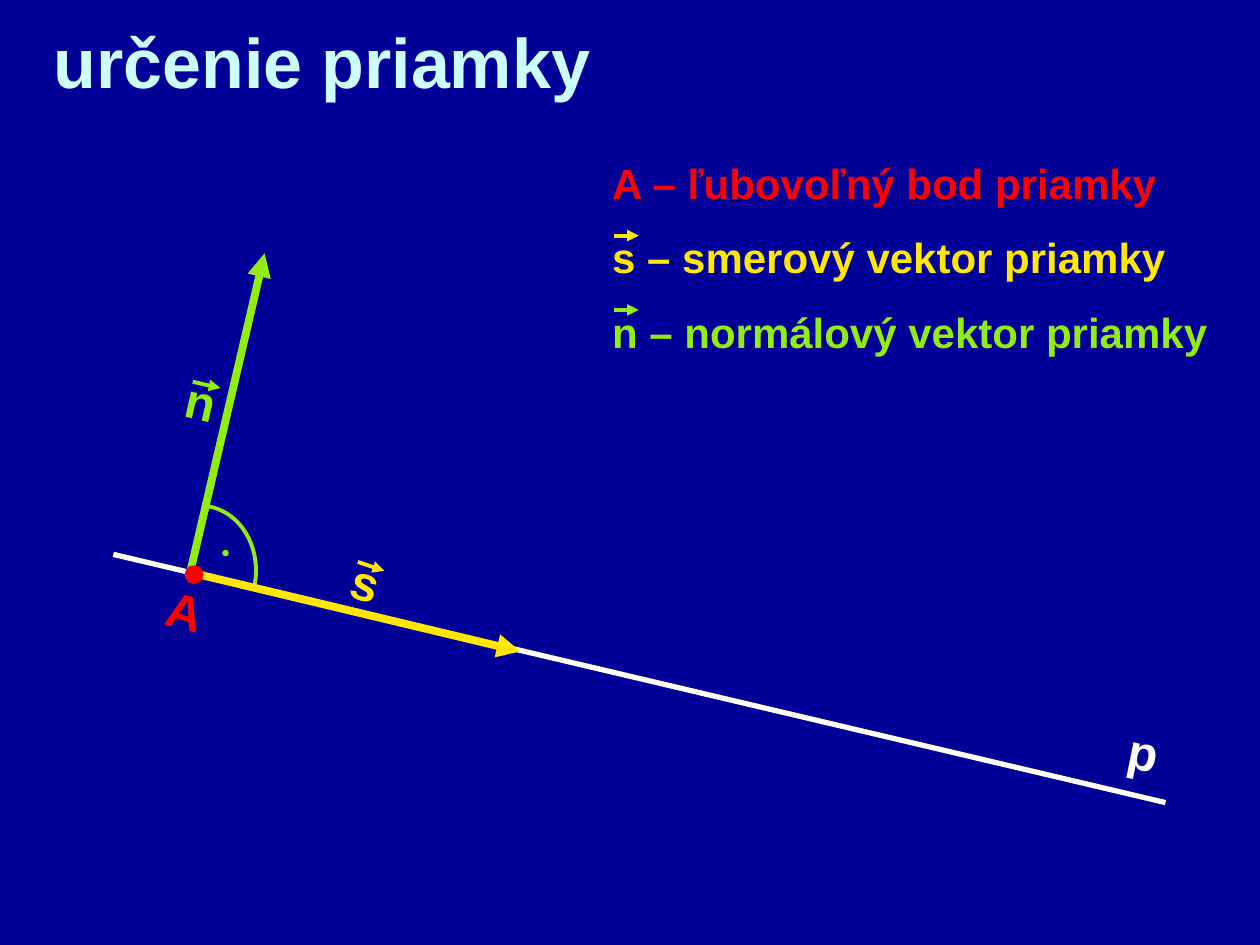
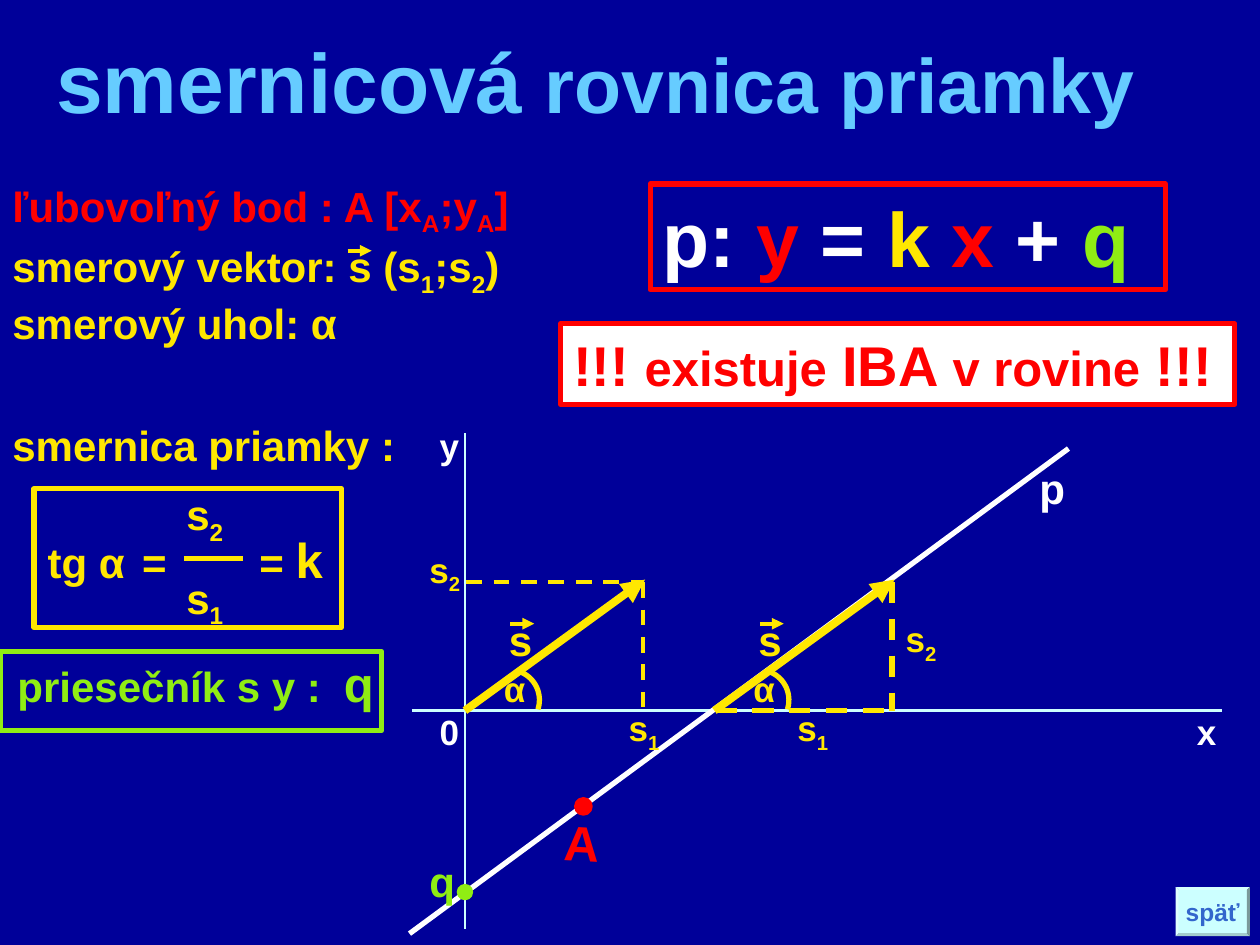
from collections import namedtuple

from lxml import etree
from pptx import Presentation
from pptx.dml.color import RGBColor
from pptx.enum import dml, shapes, text
from pptx.oxml import ns
from pptx.util import Inches, Pt

NAVY = RGBColor(0x00, 0x00, 0x99)
WHITE = RGBColor(0xFF, 0xFF, 0xFF)
ICE = RGBColor(0xCC, 0xFF, 0xFF)
SKY = RGBColor(0x66, 0xCC, 0xFF)
BLUE = RGBColor(0x33, 0x66, 0xCC)
RED = RGBColor(0xFF, 0x00, 0x00)
YELLOW = RGBColor(0xFF, 0xE7, 0x01)
GREEN = RGBColor(0x90, 0xED, 0x13)
FONT = "Arial"

Run = namedtuple("Run", "text size color sub", defaults=(None, None, False))
S1 = [Run("s"), Run("1", sub=True)]
S2 = [Run("s"), Run("2", sub=True)]


def new_slide(prs):
    """Add a blank slide with the navy background."""
    slide = prs.slides.add_slide(prs.slide_layouts[6])
    slide.background.fill.solid()
    slide.background.fill.fore_color.rgb = NAVY
    return slide


def write_runs(paragraph, runs, size, color):
    """Write bold runs, each falling back to the given size and colour."""
    for part in runs:
        run = paragraph.add_run()
        run.text = part.text
        run.font.name = FONT
        run.font.bold = True
        run.font.size = Pt(part.size or size)
        run.font.color.rgb = part.color or color
        if part.sub:
            run._r.get_or_add_rPr().set("baseline", "-25000")


def add_tabs(paragraph, stops):
    """Set left tab stops, in inches from the start of the text."""
    tab_list = etree.SubElement(paragraph._p.get_or_add_pPr(), ns.qn("a:tabLst"))
    for stop in stops:
        etree.SubElement(tab_list, ns.qn("a:tab"), pos=str(Inches(stop)), algn="l")


def add_label(slide, box, content, size, color, rotation=0, tabs=()):
    """Add a text box holding a string or a list of runs."""
    label = slide.shapes.add_textbox(*map(Inches, box))
    label.rotation = rotation
    label.text_frame.word_wrap = True
    paragraph = label.text_frame.paragraphs[0]
    if tabs:
        add_tabs(paragraph, tabs)
    runs = [Run(content)] if isinstance(content, str) else content
    write_runs(paragraph, runs, size, color)
    return label


def add_title(slide, box, runs, size, color):
    """Add a centred slide title."""
    title = add_label(slide, box, runs, size, color)
    title.text_frame.vertical_anchor = text.MSO_ANCHOR.MIDDLE
    title.text_frame.paragraphs[0].alignment = text.PP_ALIGN.CENTER


def add_line(slide, start, end, color, width, arrow=False, dashed=False):
    """Draw a straight line, optionally dashed or with an arrowhead."""
    line = slide.shapes.add_connector(
        shapes.MSO_CONNECTOR.STRAIGHT, *map(Inches, (*start, *end)))
    line.line.color.rgb = color
    line.line.width = Pt(width)
    if dashed:
        line.line.dash_style = dml.MSO_LINE.DASH
    if arrow:
        etree.SubElement(line.line._get_or_add_ln(), ns.qn("a:tailEnd"), type="triangle")
    etree.SubElement(line._element.spPr, ns.qn("a:effectLst"))


def add_vector_mark(slide, x, y, color, width=0.19, drop=0):
    """Draw the small arrow above the letter of a vector."""
    add_line(slide, (x, y), (x + width, y + drop), color, 2.25, arrow=True)


def add_figure(slide, preset, box, fill, outline, width):
    """Add a preset shape; a colour of None leaves that part empty."""
    figure = slide.shapes.add_shape(preset, *map(Inches, box))
    figure.shadow.inherit = False
    if fill is None:
        figure.fill.background()
    else:
        figure.fill.solid()
        figure.fill.fore_color.rgb = fill
    if outline is None:
        figure.line.fill.background()
    else:
        figure.line.color.rgb = outline
        figure.line.width = Pt(width)
    return figure


def add_frame(slide, box, outline, fill=None, runs=(), size=24, color=RED):
    """Add a framed rectangle with left-aligned text."""
    frame = add_figure(slide, shapes.MSO_SHAPE.RECTANGLE, box, fill, outline, 3)
    frame.text_frame.word_wrap = True
    paragraph = frame.text_frame.paragraphs[0]
    paragraph.alignment = text.PP_ALIGN.LEFT
    write_runs(paragraph, runs, size, color)


def add_point(slide, x, y, diameter, color, width):
    """Mark a point centred on the given position."""
    box = (x - diameter / 2, y - diameter / 2, diameter, diameter)
    add_figure(slide, shapes.MSO_SHAPE.OVAL, box, color, color, width)


def add_angle_arc(slide, controls, color, width, steps=24):
    """Draw an angle arc along a cubic curve with four control points."""
    def at(t):
        weights = ((1 - t) ** 3, 3 * t * (1 - t) ** 2, 3 * t * t * (1 - t), t ** 3)
        return tuple(Inches(sum(w * point[axis] for w, point in zip(weights, controls)))
                     for axis in (0, 1))

    outline = slide.shapes.build_freeform(*at(0))
    outline.add_line_segments([at(i / steps) for i in range(1, steps + 1)], close=False)
    arc = outline.convert_to_shape()
    arc.shadow.inherit = False
    arc.fill.background()
    arc.line.color.rgb = color
    arc.line.width = Pt(width)


def add_direction_vector(slide, x):
    """Draw the direction vector from the x axis with its angle and letter."""
    add_line(slide, (x, 5.64), (x + 1.43, 4.6), YELLOW, 4.5, arrow=True)
    add_label(slide, (x + 0.25, 4.83, 0.55, 0.5), "s", 24, YELLOW)
    add_vector_mark(slide, x + 0.36, 4.95, YELLOW)
    arc = ((0.43, 5.33), (0.55, 5.37), (0.62, 5.5), (0.58, 5.63))
    add_angle_arc(slide, [(x + dx, y) for dx, y in arc], YELLOW, 3)
    add_label(slide, (x + 0.21, 5.25, 0.39, 0.44), "α", 20, YELLOW)


def build_line_definition(prs):
    """Build the slide on what determines a line."""
    slide = new_slide(prs)
    add_title(slide, (0.03, 0.11, 5.05, 0.74), [Run("určenie priamky")], 40, ICE)

    add_angle_arc(slide, ((1.66, 4.02), (1.92, 4.07), (2.08, 4.36), (2.02, 4.65)), GREEN, 2.25)
    add_point(slide, 1.79, 4.39, 0.04, GREEN, 0.75)
    add_line(slide, (0.9, 4.4), (9.25, 6.37), WHITE, 3)
    add_label(slide, (8.86, 5.7, 0.63, 0.57), "p", 28, WHITE, 11.5)

    add_line(slide, (1.58, 4.56), (4.13, 5.17), YELLOW, 4.5, arrow=True)
    add_label(slide, (2.7, 4.34, 0.47, 0.57), "s", 28, YELLOW, 17.2)
    add_vector_mark(slide, 2.84, 4.46, YELLOW, 0.21, 0.07)
    add_line(slide, (1.51, 4.54), (2.1, 2.01), GREEN, 4.5, arrow=True)
    add_label(slide, (1.38, 2.9, 0.47, 0.57), "n", 28, GREEN, 13)
    add_vector_mark(slide, 1.53, 3.03, GREEN, 0.22, 0.05)
    add_label(slide, (1.23, 4.6, 0.79, 0.57), "A", 28, RED, 15)
    add_point(slide, 1.54, 4.56, 0.12, RED, 2)

    legend = (("A – ľubovoľný bod priamky", RED, False),
              ("s – smerový vektor priamky", YELLOW, True),
              ("n – normálový vektor priamky", GREEN, True))
    for row, (meaning, color, is_vector) in enumerate(legend):
        top = 1.2 + 0.59 * row
        add_label(slide, (4.76, top, 5.12, 0.5), meaning, 24, color)
        if is_vector:
            add_vector_mark(slide, 4.87, top + 0.08, color, 0.2)


def add_graph(slide):
    """Draw the axes, the line p and its two direction vectors."""
    add_line(slide, (3.27, 5.64), (9.7, 5.64), ICE, 1.5)
    add_label(slide, (3.39, 5.59, 6.5, 0.44), "0\tx", 20, WHITE, tabs=[6.01])
    add_line(slide, (3.69, 3.44), (3.69, 7.37), ICE, 1.5)
    add_label(slide, (3.39, 3.32, 0.36, 0.44), "y", 20, WHITE)
    add_line(slide, (3.25, 7.41), (8.48, 3.56), WHITE, 3)
    add_label(slide, (8.15, 3.62, 0.55, 0.5), "p", 24, WHITE)

    dashes = (((3.7, 4.62), (5.09, 4.62), 2.25), ((5.1, 4.62), (5.1, 5.64), 2.25),
              ((5.68, 5.64), (7.07, 5.64), 3), ((7.08, 4.62), (7.08, 5.64), 3))
    for start, end, width in dashes:
        add_line(slide, start, end, YELLOW, width, dashed=True)
    for x in (3.69, 5.67):
        add_direction_vector(slide, x)
    for x, y, coordinate in ((4.89, 5.56, S1), (3.31, 4.3, S2),
                             (6.23, 5.56, S1), (7.09, 4.85, S2)):
        add_label(slide, (x, y, 0.5, 0.48), coordinate, 20, YELLOW)

    add_label(slide, (4.38, 6.41, 0.79, 0.57), "A", 28, RED, 3.1)
    add_point(slide, 4.63, 6.4, 0.12, RED, 2)
    add_label(slide, (3.31, 6.74, 0.47, 0.5), "q", 24, GREEN)
    add_point(slide, 3.69, 7.08, 0.12, GREEN, 0.75)


def add_slope_formula(slide):
    """Write the slope as a framed fraction, with the intercept below."""
    add_label(slide, (0, 3.28, 3.43, 0.5), "smernica priamky :", 24, YELLOW)
    add_label(slide, (0.28, 4.15, 2.68, 0.57), [Run("tg α\t=\t= "), Run("k", 28)],
              24, YELLOW, tabs=[0.75, 1.68])
    fraction = add_label(slide, (1.38, 3.83, 0.71, 1.22), S2, 24, YELLOW)
    denominator = fraction.text_frame.add_paragraph()
    denominator.space_before = Pt(15)
    write_runs(denominator, S1, 24, YELLOW)
    add_line(slide, (1.46, 4.43), (1.93, 4.43), YELLOW, 3)
    add_frame(slide, (0.27, 3.88, 2.44, 1.1), YELLOW)
    add_label(slide, (0.04, 5.14, 3.15, 0.57), [Run("priesečník s y :\t"), Run("q", 28)],
              24, GREEN, tabs=[2.59])
    add_frame(slide, (0, 5.17, 3.03, 0.63), GREEN)


def add_back_button(slide):
    """Add the bevelled button that leads back."""
    button = add_figure(slide, shapes.MSO_SHAPE.BEVEL, (9.33, 7.04, 0.59, 0.39), ICE, None, 0)
    button.adjustments[0] = 0.06
    button.text_frame.word_wrap = False
    paragraph = button.text_frame.paragraphs[0]
    paragraph.alignment = text.PP_ALIGN.CENTER
    write_runs(paragraph, [Run("späť")], 14, BLUE)


def build_slope_equation(prs):
    """Build the slide on the slope form of a line."""
    slide = new_slide(prs)
    add_title(slide, (0.2, 0.08, 9.06, 1.11),
              [Run("smernicová", 48), Run(" rovnica priamky")], 44, SKY)

    add_label(slide, (0, 1.38, 4.29, 0.56),
              [Run("ľubovoľný bod : A [x"), Run("A", sub=True), Run(";y"),
               Run("A", sub=True), Run("]")], 24, RED)
    add_label(slide, (0, 1.86, 4.57, 0.56),
              [Run("smerový vektor: s ("), *S1, Run(";"), *S2, Run(")")], 24, YELLOW)
    add_vector_mark(slide, 2.76, 1.99, YELLOW)
    add_label(slide, (0, 2.31, 2.91, 0.5), "smerový uhol: α", 24, YELLOW)

    add_frame(slide, (5.16, 1.46, 4.09, 0.84), RED, None,
              [Run("p: "), Run("y", color=RED), Run(" = "), Run("k ", color=YELLOW),
               Run("x", color=RED), Run(" + "), Run("q", color=GREEN)], 44, WHITE)
    add_frame(slide, (4.45, 2.57, 5.35, 0.64), RED, WHITE,
              [Run("!!! "), Run("existuje", 28), Run(" IBA "), Run("v rovine", 28),
               Run(" !!!")], 32, RED)

    add_graph(slide)
    add_slope_formula(slide)
    add_back_button(slide)


def main():
    """Build both slides and save the presentation."""
    prs = Presentation()
    prs.slide_width, prs.slide_height = Inches(10), Inches(7.5)
    build_line_definition(prs)
    build_slope_equation(prs)
    prs.save("out.pptx")


if __name__ == "__main__":
    main()
